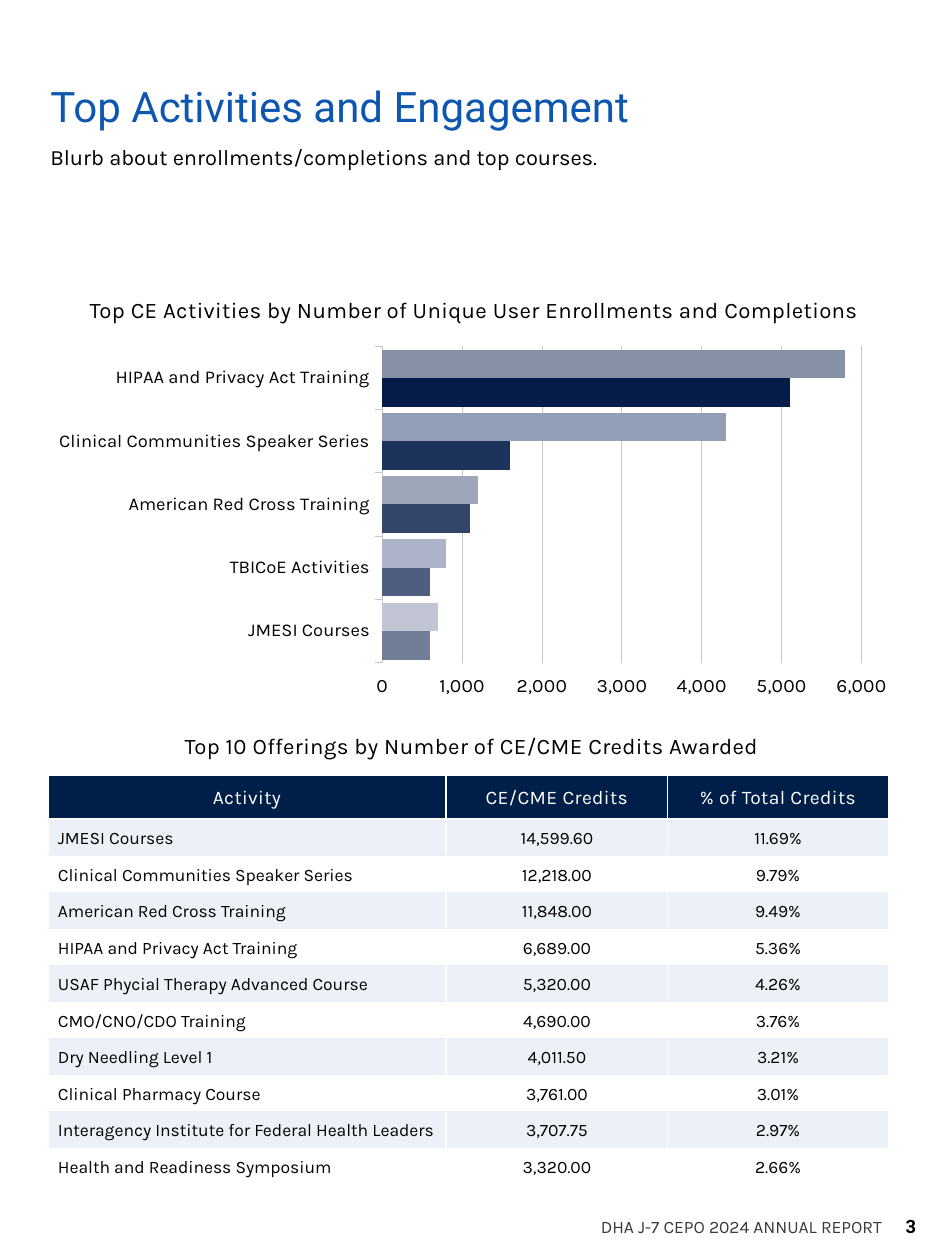
from lxml.etree import SubElement
from pptx import Presentation
from pptx.chart.data import CategoryChartData
from pptx.dml.color import RGBColor
from pptx.enum.chart import XL_CHART_TYPE, XL_TICK_MARK
from pptx.enum.text import MSO_ANCHOR, MSO_AUTO_SIZE, PP_ALIGN
from pptx.oxml import parse_xml
from pptx.oxml.ns import nsdecls, qn
from pptx.util import Inches, Pt

COLORS = {"title": "0D57B0", "text": "000000", "footer": "3B3838", "white": "FFFFFF",
          "header": "001F48", "band": "ECF1F8", "grid": "C6C6C6"}

CATEGORIES = ["JMESI Courses", "TBICoE Activities", "American Red Cross Training",
              "Clinical Communities Speaker Series", "HIPAA and Privacy Act Training"]
SERIES = [
    ("Series 1", [600, 600, 1100, 1600, 5100],
     ["727E97", "4F5E7E", "33456A", "1E335B", "051C48"]),
    ("Series 2", [700, 800, 1200, 4300, 5800],
     ["C2C6D4", "ADB3C9", "9DA7B9", "919EB5", "8791A5"]),
]
OFFERINGS = [
    ("Activity", "CE/CME Credits", "% of Total Credits"),
    ("JMESI Courses", "14,599.60", "11.69%"),
    ("Clinical Communities Speaker Series", "12,218.00", "9.79%"),
    ("American Red Cross Training", "11,848.00", "9.49%"),
    ("HIPAA and Privacy Act Training", "6,689.00", "5.36%"),
    ("USAF Phycial Therapy Advanced Course", "5,320.00", "4.26%"),
    ("CMO/CNO/CDO Training", "4,690.00", "3.76%"),
    ("Dry Needling Level 1", "4,011.50", "3.21%"),
    ("Clinical Pharmacy Course", "3,761.00", "3.01%"),
    ("Interagency Institute for Federal Health Leaders", "3,707.75", "2.97%"),
    ("Health and Readiness Symposium", "3,320.00", "2.66%"),
]


def rgb(name):
    return RGBColor.from_string(COLORS.get(name, name))


def set_attrs(obj, values):
    for name, value in values.items():
        setattr(obj, name, value)


class ReportPage:
    """Adds styled elements to the current slide."""

    def __init__(self, slide, font="Karla"):
        self.slide = slide
        self.font = font

    def style_font(self, font, size, color="text", name=None, bold=False):
        set_attrs(font, {"name": name or self.font, "size": Pt(size), "bold": bold})
        font.color.rgb = rgb(color)

    def fill_text(self, tf, text, size, color="text", name=None, bold=False, spc=0, **fmt):
        p = tf.paragraphs[0]
        set_attrs(p, {"alignment": PP_ALIGN.LEFT, **fmt})
        r = p.add_run()
        r.text = text
        self.style_font(r.font, size, color, name, bold)
        if spc:
            r._r.get_or_add_rPr().set("spc", str(spc))

    def place(self, sp, box, inset=0.1, anchor=MSO_ANCHOR.TOP):
        set_attrs(sp, dict(zip(("left", "top", "width", "height"), map(Inches, box))))
        set_attrs(sp.text_frame, {
            "word_wrap": True, "auto_size": MSO_AUTO_SIZE.NONE, "vertical_anchor": anchor,
            "margin_left": Inches(inset), "margin_right": Inches(inset),
            "margin_top": Inches(0.05), "margin_bottom": Inches(0.05)})
        return sp.text_frame

    def title(self, text, box):
        tf = self.place(self.slide.shapes.title, box, 0.4)
        self.fill_text(tf, text, 24, "title", "Roboto", line_spacing=1.1)

    def text(self, text, box, size, inset=0.1, anchor=MSO_ANCHOR.TOP, **fmt):
        sp = self.slide.shapes.add_textbox(*map(Inches, box))
        self.fill_text(self.place(sp, box, inset, anchor), text, size, **fmt)

    def heading(self, text, box):
        self.text(text, box, 12.7, spc=20, alignment=PP_ALIGN.CENTER, line_spacing=1.2)

    def bar_chart(self, box, categories, series, plot):
        data = CategoryChartData(number_format="#,##0")
        data.categories = categories
        for name, values, _ in series:
            data.add_series(name, values)
        chart = self.slide.shapes.add_chart(
            XL_CHART_TYPE.BAR_CLUSTERED, *map(Inches, box), data).chart
        set_attrs(chart, {"has_legend": False, "has_title": False})
        self.style_font(chart.font, 10)
        bars = chart.plots[0]
        set_attrs(bars, {"gap_width": 22, "overlap": 0, "vary_by_categories": False})
        for s, (_, _, colors) in zip(bars.series, series):
            s.format.fill.solid()
            s.format.fill.fore_color.rgb = rgb(colors[-1])
            for i, color in enumerate(colors):
                fill = s.points[i].format.fill
                fill.solid()
                fill.fore_color.rgb = rgb(color)
        cat, val = chart.category_axis, chart.value_axis
        for axis, size in ((cat, 10.5), (val, 11)):
            set_attrs(axis, {"major_tick_mark": XL_TICK_MARK.OUTSIDE,
                             "minor_tick_mark": XL_TICK_MARK.NONE})
            self.style_font(axis.tick_labels.font, size)
        set_attrs(val, {"minimum_scale": 0, "maximum_scale": 6000, "major_unit": 1000,
                        "has_major_gridlines": True})
        set_attrs(val.tick_labels, {"number_format": "#,##0", "number_format_is_linked": False})
        val.format.line.fill.background()
        cat.has_major_gridlines = False
        for line in (cat.format.line, val.major_gridlines.format.line):
            line.width = Pt(0.5)
            line.color.rgb = rgb("grid")
        self.plot_layout(chart, plot)

    def plot_layout(self, chart, plot):
        area = chart._chartSpace.chart.plotArea
        for old in area.findall(qn("c:layout")):
            area.remove(old)
        layout = parse_xml(f"<c:layout {nsdecls('c')}><c:manualLayout/></c:layout>")
        values = {"layoutTarget": "inner", "xMode": "edge", "yMode": "edge",
                  **dict(zip("xywh", plot))}
        for tag, value in values.items():
            SubElement(layout[0], qn(f"c:{tag}")).set("val", str(value))
        area.insert(0, layout)

    def borders(self, cell, sides):
        tc_pr = cell._tc.get_or_add_tcPr()
        for i, (side, (color, width)) in enumerate(sides.items()):
            tc_pr.insert(i, parse_xml(
                f'<a:ln{side} {nsdecls("a")} w="{Pt(width)}"><a:solidFill>'
                f'<a:srgbClr val="{COLORS[color]}"/></a:solidFill></a:ln{side}>'))

    def table(self, box, rows, widths, header_height, row_height):
        table = self.slide.shapes.add_table(
            len(rows), len(widths), *map(Inches, box)).table
        table.horz_banding = False
        for col, width in zip(table.columns, widths):
            col.width = Inches(width)
        for i, row in enumerate(rows):
            table.rows[i].height = Inches(row_height if i else header_height)
            for j, text in enumerate(row):
                self.cell(table.cell(i, j), text, i, j, len(rows) - 1, len(row) - 1)

    def cell(self, cell, text, i, j, last_row, last_col):
        head = i == 0
        side, top, bottom = (0.07, 0.02, 0) if head else (0.08, 0.05, 0.05)
        set_attrs(cell, {
            "margin_left": Inches(side), "margin_right": Inches(side),
            "margin_top": Inches(top), "margin_bottom": Inches(bottom),
            "vertical_anchor": MSO_ANCHOR.MIDDLE if head else MSO_ANCHOR.BOTTOM})
        cell.fill.solid()
        cell.fill.fore_color.rgb = rgb("header" if head else "band" if i % 2 else "white")
        self.fill_text(cell.text_frame, text, 11 if head else 10,
                       "white" if head else "text", spc=20 if head else 0,
                       alignment=PP_ALIGN.CENTER if head or j else PP_ALIGN.LEFT)
        white, rule = ("white", 1), ("band", 0.5)
        sides = {"L": white if j else None, "R": white if j < last_col else None,
                 "T": None if head else white if i == 1 else rule,
                 "B": white if head else rule if i < last_row else None}
        self.borders(cell, {k: v for k, v in sides.items() if v})


def main():
    prs = Presentation()
    prs.slide_width, prs.slide_height = Inches(7.5), Inches(10)
    page = ReportPage(prs.slides.add_slide(prs.slide_layouts[5]))
    page.text("DHA J-7 CEPO 2024 ANNUAL REPORT", (4.67, 9.37, 2.54, 0.5), 10,
              anchor=MSO_ANCHOR.BOTTOM, color="footer")
    page.text("3", (6.41, 9.37, 0.96, 0.5), 10.5, anchor=MSO_ANCHOR.BOTTOM,
              name="Roboto", bold=True, alignment=PP_ALIGN.RIGHT)
    page.title("Top Activities and Engagement", (0, 0.55, 7.5, 0.52))
    page.heading("Top CE Activities by Number of Unique User Enrollments and Completions",
                 (0.43, 2.26, 6.67, 0.33))
    page.bar_chart((0.38, 2.48, 6.72, 3.06), CATEGORIES, SERIES, (0.395, 0.09, 0.566, 0.837))
    page.text("Blurb about enrollments/completions and top courses.", (0, 1.03, 7.5, 1.63),
              12.5, inset=0.4, line_spacing=1.3, space_before=Pt(7.5))
    page.heading("Top 10 Offerings by Number of CE/CME Credits Awarded",
                 (0.41, 5.72, 6.67, 0.33))
    page.table((0.38, 6.15, 6.67, 3.25), OFFERINGS, (3.16, 1.76, 1.75), 0.35, 0.29)
    prs.save("out.pptx")


if __name__ == "__main__":
    main()
